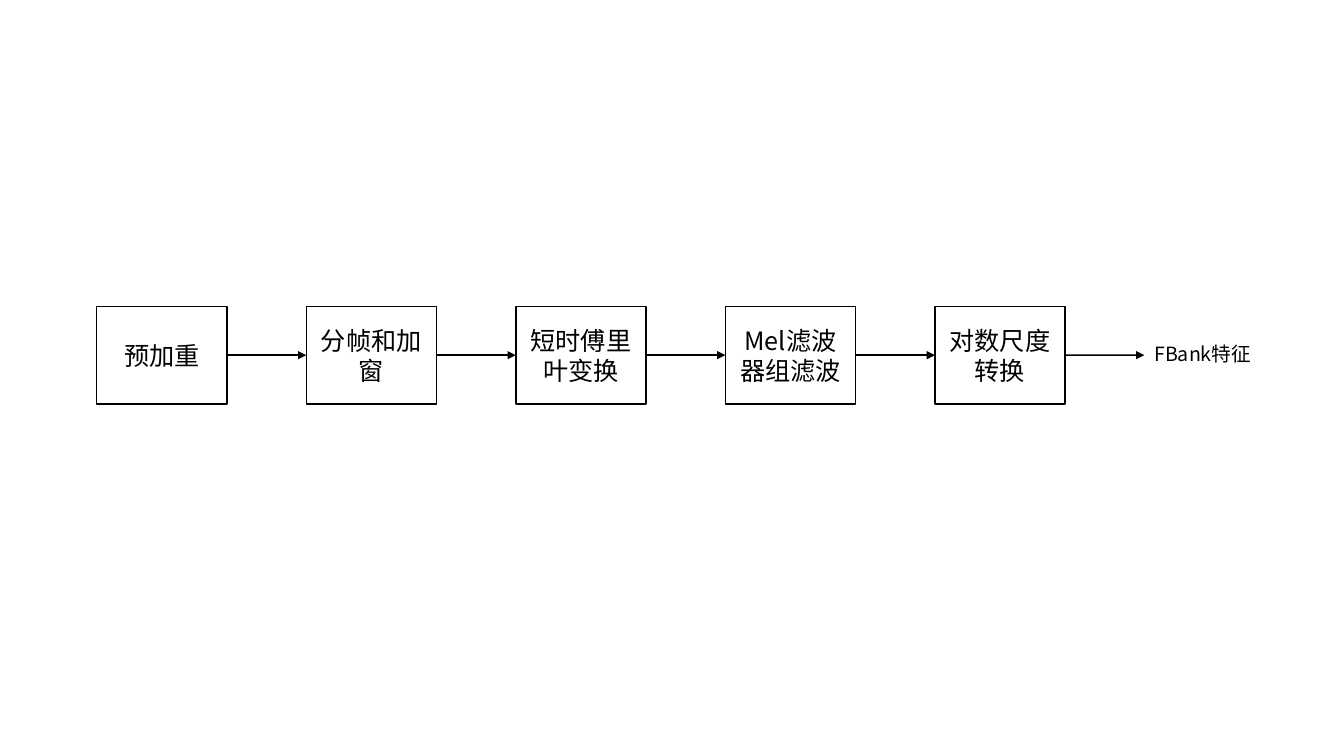
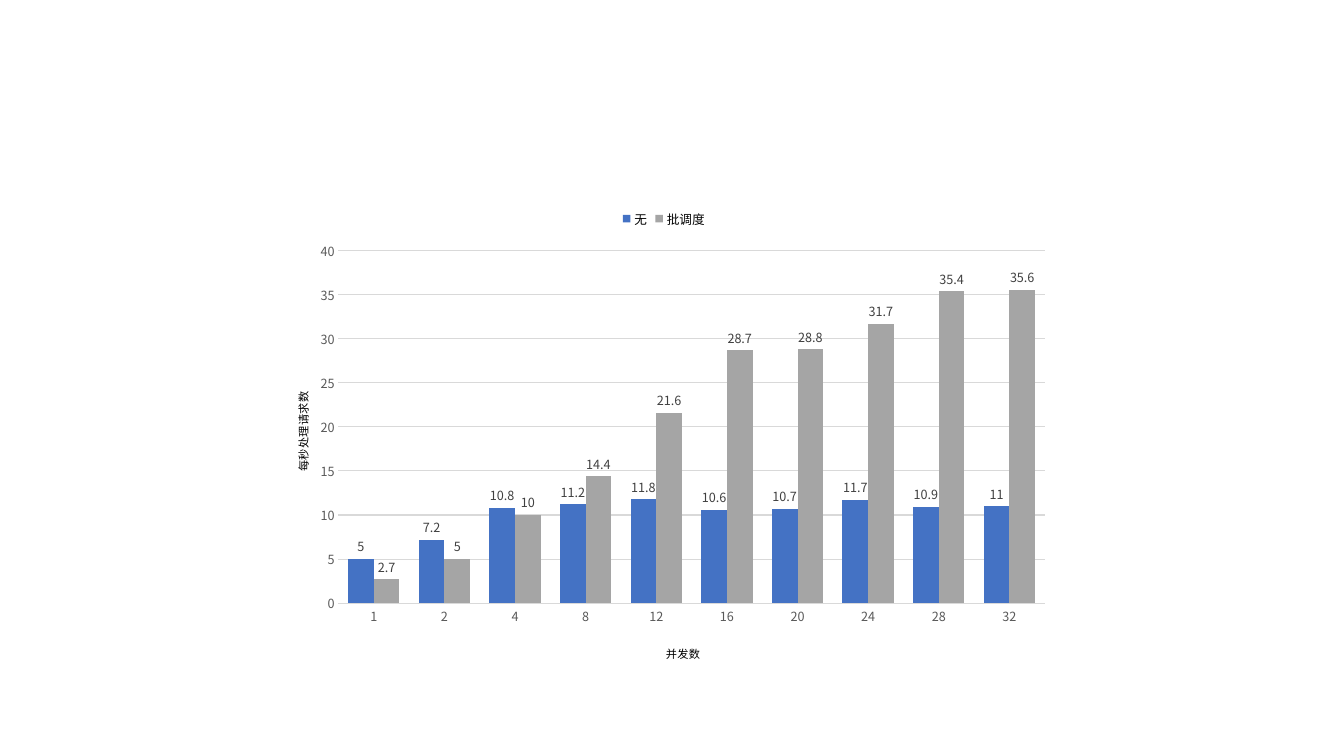
from lxml.etree import SubElement
from pptx import Presentation
from pptx.chart.data import CategoryChartData
from pptx.dml.color import RGBColor
from pptx.enum.chart import (XL_CHART_TYPE, XL_LABEL_POSITION,
                             XL_LEGEND_POSITION, XL_TICK_MARK)
from pptx.enum.shapes import MSO_CONNECTOR, MSO_SHAPE
from pptx.enum.text import MSO_ANCHOR, MSO_AUTO_SIZE, PP_ALIGN
from pptx.oxml import parse_xml
from pptx.oxml.ns import nsdecls, qn
from pptx.util import Cm, Pt

# Content
STEPS = ["预加重", "分帧和加窗", "短时傅里叶变换", "Mel滤波器组滤波", "对数尺度转换"]
RESULT = "FBank特征"
LOADS = ["1", "2", "4", "8", "12", "16", "20", "24", "28", "32"]
SERIES = [
    ("无", "4472C4", [5, 7.2, 10.8, 11.2, 11.8, 10.6, 10.7, 11.7, 10.9, 11]),
    ("批调度", "A5A5A5", [2.7, 5, 10, 14.4, 21.6, 28.7, 28.8, 31.7, 35.4, 35.6]),
]
X_NAME, Y_NAME = "并发数", "每秒处理请求数"

# Shared style
FONT = "Noto Sans CJK SC"
BLACK, WHITE, GREY, DARK, RULE = "000000", "FFFFFF", "595959", "404040", "D9D9D9"

# Flow geometry in cm
LEFT, TOP, WIDE, HIGH, PITCH = 2.44, 7.72, 3.28, 2.46, 5.28


def color(code):
    return RGBColor.from_string(code)


def style(font, size, code=BLACK):
    font.name, font.size, font.bold = FONT, Pt(size), False
    font.color.rgb = color(code)


def set_asian(root):
    """Give East Asian text the same font as Latin text."""
    for latin in list(root.iter(qn("a:latin"))):
        latin.addnext(parse_xml(f'<a:ea {nsdecls("a")} typeface="{FONT}"/>'))


def write(frame, text, size=18, align=PP_ALIGN.LEFT, anchor=MSO_ANCHOR.TOP):
    frame.word_wrap, frame.vertical_anchor = True, anchor
    para = frame.paragraphs[0]
    para.alignment = align
    run = para.add_run()
    run.text = text
    style(run.font, size)


def add_step(slide, num, text):
    box = slide.shapes.add_shape(MSO_SHAPE.RECTANGLE, Cm(LEFT + num * PITCH),
                                 Cm(TOP), Cm(WIDE), Cm(HIGH))
    box.shadow.inherit = False
    box.fill.solid()
    box.fill.fore_color.rgb = color(WHITE)
    box.line.color.rgb, box.line.width = color(BLACK), Pt(1)
    write(box.text_frame, text, align=PP_ALIGN.CENTER, anchor=MSO_ANCHOR.MIDDLE)
    return box


def add_arrow(slide, num, start, end=None):
    y = Cm(TOP + HIGH / 2)
    line = slide.shapes.add_connector(
        MSO_CONNECTOR.STRAIGHT, Cm(LEFT + num * PITCH + WIDE), y,
        Cm(LEFT + (num + 1) * PITCH), y)
    line.begin_connect(start, 3)
    if end is not None:
        line.end_connect(end, 1)
    line.line.color.rgb, line.line.width = color(BLACK), Pt(1)
    props = line.element.spPr
    SubElement(props.find(qn("a:ln")), qn("a:tailEnd"), type="triangle")
    SubElement(props, qn("a:effectLst"))


def build_flow(slide):
    boxes = [add_step(slide, num, text) for num, text in enumerate(STEPS)]
    for num, (start, end) in enumerate(zip(boxes, boxes[1:] + [None])):
        add_arrow(slide, num, start, end)
    label = slide.shapes.add_textbox(Cm(LEFT + len(STEPS) * PITCH), Cm(8.48),
                                     Cm(2.97), Cm(0.86))
    write(label.text_frame, RESULT, size=14)
    label.text_frame.auto_size = MSO_AUTO_SIZE.SHAPE_TO_FIT_TEXT
    set_asian(slide.element)


def place(owner, **spots):
    """Fix a chart part at fractions of the chart area."""
    old = owner.find(qn("c:layout"))
    if old is not None:
        owner.remove(old)
    inner = '<c:layoutTarget val="inner"/>' if "w" in spots else ""
    modes = "".join(f'<c:{key}Mode val="edge"/>' for key in "xy")
    sizes = "".join(f'<c:{key} val="{val}"/>' for key, val in spots.items())
    node = parse_xml(f'<c:layout {nsdecls("c")}><c:manualLayout>{inner}{modes}'
                     f'{sizes}</c:manualLayout></c:layout>')
    text = owner.find(qn("c:tx"))
    if text is None:
        owner.insert(0, node)
    else:
        text.addnext(node)


def set_axis(axis, name, x, y):
    axis.major_tick_mark = axis.minor_tick_mark = XL_TICK_MARK.NONE
    style(axis.tick_labels.font, 9, GREY)
    write_name = axis.axis_title.text_frame.paragraphs[0].add_run()
    write_name.text = name
    style(write_name.font, 8)
    place(axis.axis_title.element, x=x, y=y)


def build_chart(slide):
    data = CategoryChartData()
    data.categories = LOADS
    for name, _, vals in SERIES:
        data.add_series(name, vals)
    chart = slide.shapes.add_chart(XL_CHART_TYPE.COLUMN_CLUSTERED, Cm(6.73), Cm(5),
                                   Cm(20), Cm(12), data).chart
    style(chart.font, 10)
    chart.has_title = False
    chart.has_legend = True
    chart.legend.position = XL_LEGEND_POSITION.TOP
    chart.legend.include_in_layout = False
    style(chart.legend.font, 9)

    # Columns and their values
    plot = chart.plots[0]
    plot.gap_width, plot.overlap, plot.vary_by_categories = 75, 0, False
    for series, (_, code, _) in zip(plot.series, SERIES):
        series.format.fill.solid()
        series.format.fill.fore_color.rgb = color(code)
        labels = series.data_labels
        labels.show_value = True
        labels.position = XL_LABEL_POSITION.OUTSIDE_END
        style(labels.font, 9, DARK)

    # Axes and grid
    cats, vals = chart.category_axis, chart.value_axis
    set_axis(cats, X_NAME, 0.5, 0.93)
    set_axis(vals, Y_NAME, 0.03, 0.4)
    vals.minimum_scale, vals.maximum_scale, vals.major_unit = 0, 40, 5
    vals.format.line.fill.background()
    for line in (cats.format.line, vals.major_gridlines.format.line):
        line.color.rgb, line.width = color(RULE), Pt(0.75)
    area = chart.element.find(".//" + qn("c:plotArea"))
    place(area, x=0.09, y=0.11, w=0.89, h=0.74)
    set_asian(chart.element)


def main():
    deck = Presentation()
    deck.slide_width, deck.slide_height = Cm(33.87), Cm(19.05)
    blank = deck.slide_layouts[6]
    for build in (build_flow, build_chart):
        build(deck.slides.add_slide(blank))
    deck.save("out.pptx")


if __name__ == "__main__":
    main()
